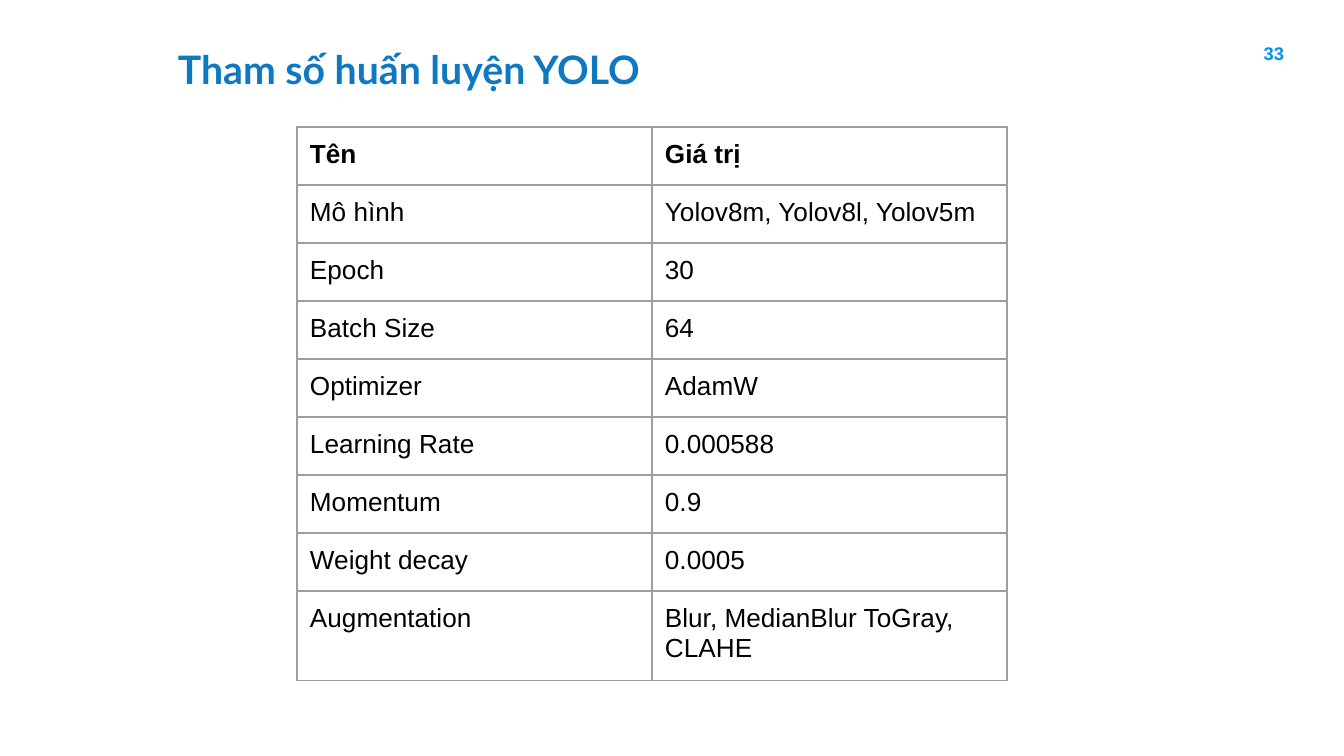
from dataclasses import dataclass

from lxml import etree
from pptx import Presentation
from pptx.dml.color import RGBColor
from pptx.enum.text import MSO_ANCHOR, PP_ALIGN
from pptx.oxml.ns import qn
from pptx.util import Emu, Pt

LEFT, RIGHT = PP_ALIGN.LEFT, PP_ALIGN.RIGHT
TOP, MIDDLE = MSO_ANCHOR.TOP, MSO_ANCHOR.MIDDLE
EMU_PER_PX = 914400 / 134.4


@dataclass(frozen=True)
class Theme:
    title_color: str = "0E78C0"
    number_color: str = "0091EA"
    text_color: str = "000000"
    border_color: str = "9E9E9E"
    border_width: float = 0.75
    title_font: str = "Lato"
    body_font: str = "Arial"
    title_size: float = 21
    body_size: float = 14
    number_size: float = 9.8


THEME = Theme()

PARAMETERS = [
    ("Tên", "Giá trị"),
    ("Mô hình", "Yolov8m, Yolov8l, Yolov5m"),
    ("Epoch", "30"),
    ("Batch Size", "64"),
    ("Optimizer", "AdamW"),
    ("Learning Rate", "0.000588"),
    ("Momentum", "0.9"),
    ("Weight decay", "0.0005"),
    ("Augmentation", "Blur, MedianBlur ToGray, CLAHE"),
]


def px(length):
    return Emu(round(length * EMU_PER_PX))


def write_text(frame, text, *, size=THEME.body_size, font=THEME.body_font,
               color=THEME.text_color, bold=False, align=LEFT):
    paragraph = frame.paragraphs[0]
    paragraph.alignment = align
    run = paragraph.add_run()
    run.text = text
    run.font.size = Pt(size)
    run.font.name = font
    run.font.bold = bold
    run.font.color.rgb = RGBColor.from_string(color)


def set_margins(holder, margin):
    holder.margin_left = holder.margin_right = px(margin)
    holder.margin_top = holder.margin_bottom = px(margin)


def add_label(slide, text, left, top, width, height, *, margin, anchor=TOP, **text_format):
    box = slide.shapes.add_textbox(px(left), px(top), px(width), px(height))
    frame = box.text_frame
    frame.word_wrap = True
    frame.vertical_anchor = anchor
    set_margins(frame, margin)
    write_text(frame, text, **text_format)


def add_borders(cell):
    properties = cell._tc.get_or_add_tcPr()
    # Border lines come before the fill in the cell properties
    for position, side in enumerate(("a:lnL", "a:lnR", "a:lnT", "a:lnB")):
        line = etree.Element(qn(side), w=str(Pt(THEME.border_width)))
        fill = etree.SubElement(line, qn("a:solidFill"))
        etree.SubElement(fill, qn("a:srgbClr"), val=THEME.border_color)
        properties.insert(position, line)


def add_parameter_table(slide, rows, left, top, column_width, row_height, last_row_height):
    heights = [row_height] * (len(rows) - 1) + [last_row_height]
    column_count = len(rows[0])
    table = slide.shapes.add_table(
        len(rows), column_count, px(left), px(top),
        px(column_width * column_count), px(sum(heights))).table
    table.horz_banding = False
    for column in table.columns:
        column.width = px(column_width)
    for row_index, (values, height) in enumerate(zip(rows, heights)):
        table.rows[row_index].height = px(height)
        for column_index, value in enumerate(values):
            cell = table.cell(row_index, column_index)
            set_margins(cell, 13)
            cell.fill.background()
            add_borders(cell)
            write_text(cell.text_frame, value, bold=row_index == 0)


def main():
    presentation = Presentation()
    presentation.slide_width, presentation.slide_height = px(1344), px(756)
    slide = presentation.slides.add_slide(presentation.slide_layouts[6])

    # Page number
    add_label(slide, "33", 1212, 32, 81, 43, margin=9, anchor=MIDDLE, align=RIGHT,
              size=THEME.number_size, color=THEME.number_color, bold=True)

    # Title
    add_label(slide, "Tham số huấn luyện YOLO", 165, 32, 974, 75, margin=13,
              size=THEME.title_size, font=THEME.title_font,
              color=THEME.title_color, bold=True)

    # Training parameters
    add_parameter_table(slide, PARAMETERS, left=297, top=127, column_width=355,
                        row_height=58, last_row_height=90)

    presentation.save("out.pptx")


if __name__ == "__main__":
    main()
